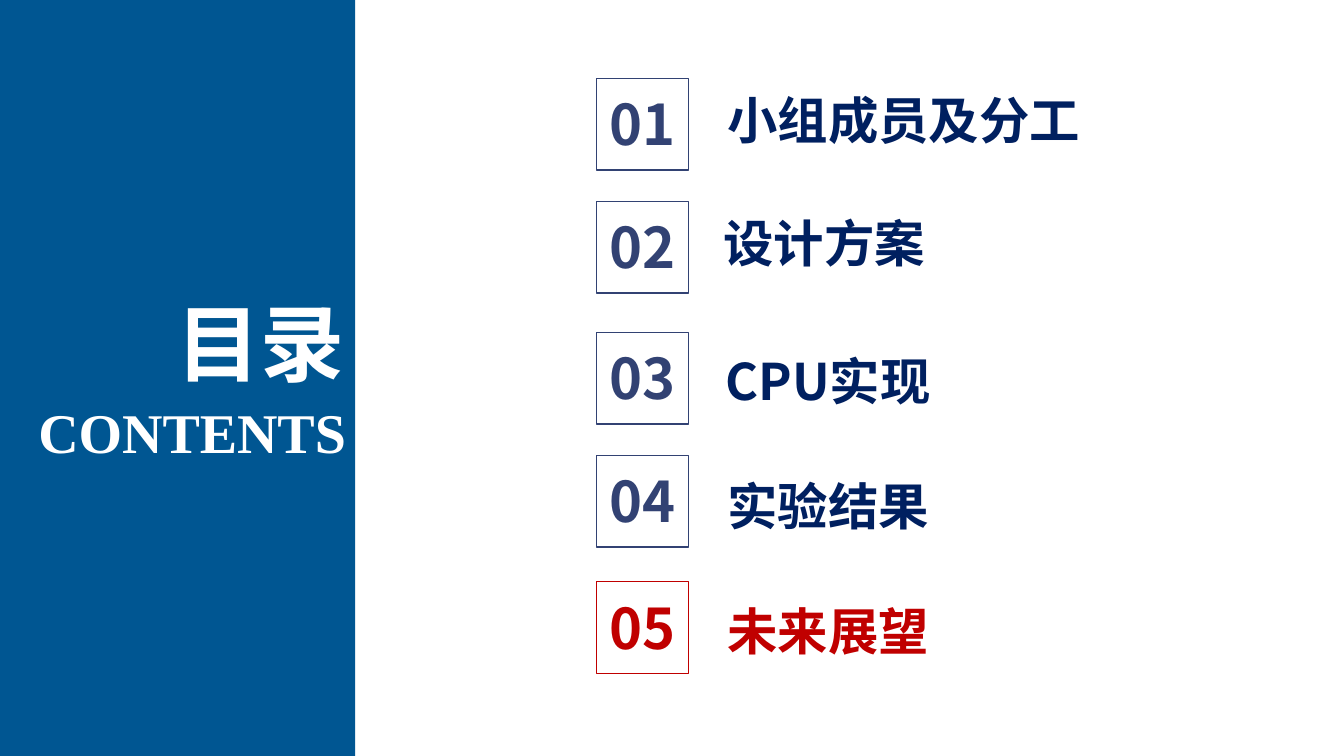
from pptx import Presentation
from pptx.dml.color import RGBColor
from pptx.enum.shapes import MSO_SHAPE as Shape
from pptx.enum.text import MSO_AUTO_SIZE as AutoSize, PP_ALIGN as Align
from pptx.oxml.ns import qn
from pptx.util import Cm, Pt
from lxml.etree import SubElement

WIDTH, HEIGHT = 33.87, 19.05


def color(hex_code):
    return RGBColor.from_string(hex_code)


class ContentsSlide:
    """Holds the style and the slide being drawn."""

    cjk_font = "Noto Sans CJK SC"
    latin_font = "Times New Roman"
    band, white = "005692", "FFFFFF"
    navy, slate, red = "002060", "324273", "C00000"
    box_left, box_size, number_drop = 15.04, 2.31, 0.16

    def __init__(self, deck):
        self.slide = deck.slides.add_slide(deck.slide_layouts[6])

    def rect(self, shapes, left, top, width, height, fill=None, line=None):
        rect = shapes.add_shape(
            Shape.RECTANGLE, Cm(left), Cm(top), Cm(width), Cm(height))
        rect.shadow.inherit = False
        if fill:
            rect.fill.solid()
            rect.fill.fore_color.rgb = color(fill)
        else:
            rect.fill.background()
        if line:
            rect.line.color.rgb = color(line)
            rect.line.width = Pt(1)
        else:
            rect.line.fill.background()

    def text(self, shapes, words, left, top, width, height, size, ink,
             align=Align.LEFT, font=cjk_font):
        frame = shapes.add_textbox(
            Cm(left), Cm(top), Cm(width), Cm(height)).text_frame
        frame.word_wrap = True
        frame.auto_size = AutoSize.SHAPE_TO_FIT_TEXT
        paragraph = frame.paragraphs[0]
        paragraph.alignment = align
        run = paragraph.add_run()
        run.text = words
        run.font.size = Pt(size)
        run.font.bold = True
        run.font.name = font
        run.font.color.rgb = color(ink)
        # Chinese characters take their typeface from a:ea
        SubElement(run.font._element, qn("a:ea")).set("typeface", font)

    def side_band(self):
        shapes = self.slide.shapes
        self.rect(shapes, 0, 0, 8.95, HEIGHT, fill=self.band)
        self.text(shapes, "目录", 2.49, 7.21, 6.45, 2.82, 60, self.white,
                  Align.RIGHT)
        self.text(shapes, "CONTENTS", 0, 9.88, 8.97, 1.96, 40, self.white,
                  Align.RIGHT, self.latin_font)

    def chapter(self, number, title, box_top, title_left, title_top, current):
        shapes = self.slide.shapes.add_group_shape().shapes
        title_ink = self.red if current else self.navy
        number_ink = self.red if current else self.slate
        self.text(shapes, title, title_left, title_top, 11, 1.8, 36, title_ink)
        self.text(shapes, f"{number:02}", self.box_left,
                  box_top + self.number_drop, self.box_size, 1.96, 40,
                  number_ink, Align.CENTER)
        self.rect(shapes, self.box_left, box_top, self.box_size,
                  self.box_size, line=number_ink)


def main():
    deck = Presentation()
    deck.slide_width, deck.slide_height = Cm(WIDTH), Cm(HEIGHT)
    contents = ContentsSlide(deck)

    # Blue band with the heading
    contents.side_band()

    # Chapters: title, box top, title left, title top
    chapters = [
        ("小组成员及分工", 1.98, 18.08, 2.13),
        ("设计方案", 5.08, 17.98, 5.23),
        ("CPU实现", 8.38, 18.03, 8.71),
        ("实验结果", 11.48, 18.08, 11.86),
        ("未来展望", 14.66, 18.08, 15.01),
    ]
    for number, chapter in enumerate(chapters, start=1):
        contents.chapter(number, *chapter, current=number == len(chapters))

    deck.save("out.pptx")


if __name__ == "__main__":
    main()
